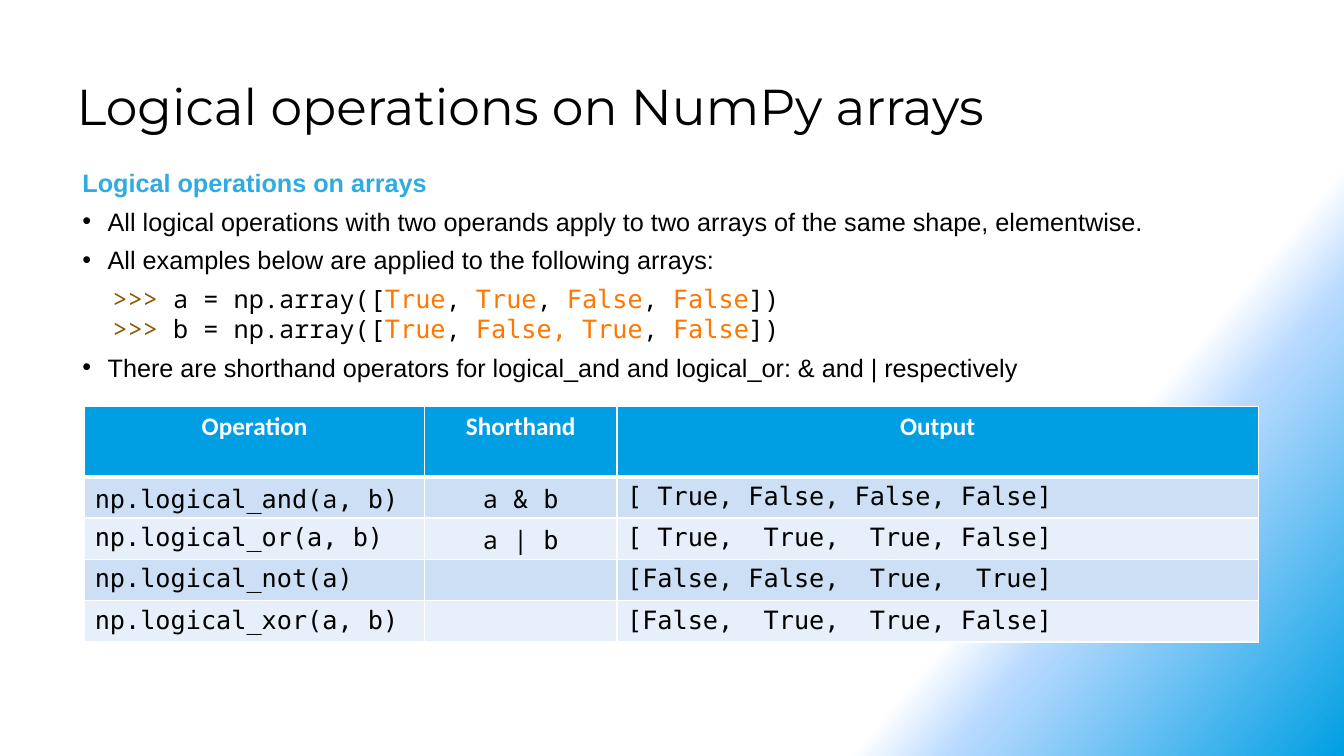
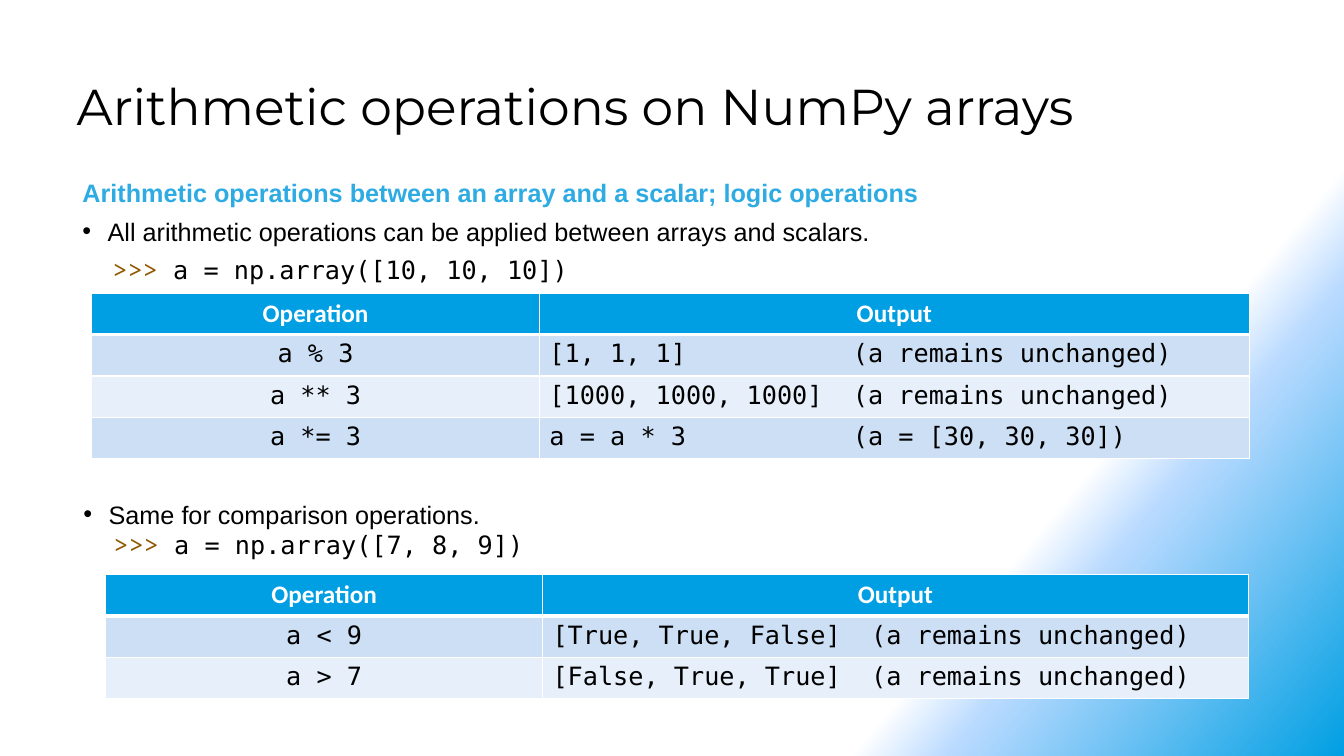
from lxml import etree
from pptx import Presentation
from pptx.dml.color import RGBColor
from pptx.enum.text import MSO_ANCHOR, PP_ALIGN
from pptx.oxml.ns import qn
from pptx.util import Inches, Pt

LEFT, CENTER = PP_ALIGN.LEFT, PP_ALIGN.CENTER
MIDDLE = MSO_ANCHOR.MIDDLE
WHITE, BLACK, BLUE = "FFFFFF", "000000", "009FE3"
BANDS = ("CCDFF4", "E7F0FA")
GRADIENT = ((75, WHITE, 100), (80, "B9DAFF", 50), (100, BLUE, 100))
LINE_HEIGHT = Pt(21.6)
ROW_HEIGHT = 0.41

FORMATS = {
    "title": {"name": "Montserrat", "size": Pt(36), "bold": False, "color": BLACK},
    "heading": {"name": "Arial", "size": Pt(18), "bold": True, "color": "2EABE2"},
    "body": {"name": "Arial", "size": Pt(18), "bold": False, "color": BLACK},
    "header": {"name": "Calibri", "size": Pt(18), "bold": True, "color": WHITE},
    "prompt": {"name": "Noto Sans Mono", "size": Pt(18), "color": "8F5902"},
    "input": {"name": "Noto Sans Mono", "size": Pt(18), "bold": False, "color": BLACK},
    "code": {"name": "DejaVu Sans Mono", "size": Pt(18), "bold": False, "color": BLACK},
    "keyword": {"name": "DejaVu Sans Mono", "size": Pt(18), "color": "FF7700"},
}


def rgb(value):
    """Turn a hex string into a colour."""
    return RGBColor.from_string(value)


def add_child(parent, tag, **attributes):
    """Append an XML element with the given attributes."""
    element = etree.SubElement(parent, qn(tag))
    for name, value in attributes.items():
        element.set(name, str(value))
    return element


def format_font(font, style):
    """Apply a named text format to a font."""
    for name, value in FORMATS[style].items():
        if name == "color":
            font.color.rgb = rgb(value)
        else:
            setattr(font, name, value)


def add_runs(paragraph, runs):
    """Add (text, style) runs to a paragraph."""
    for text, style in runs:
        run = paragraph.add_run()
        run.text = text
        format_font(run.font, style)


def set_background(master):
    """Give every slide the diagonal blue gradient."""
    fill = master.background.fill
    fill.gradient()
    fill.gradient_angle = 320
    stops = master.element.find(".//" + qn("a:gsLst"))
    for stop in list(stops):
        stops.remove(stop)
    for position, color, opacity in GRADIENT:
        stop = add_child(stops, "a:gs", pos=position * 1000)
        tint = add_child(stop, "a:srgbClr", val=color)
        if opacity < 100:
            add_child(tint, "a:alpha", val=opacity * 1000)


def add_titled_slide(presentation, text):
    """Add a slide with the shared title style."""
    slide = presentation.slides.add_slide(presentation.slide_layouts[5])
    title = slide.shapes.title
    title.left, title.top = Inches(0.66), Inches(0.67)
    title.width, title.height = Inches(12.03), Inches(0.83)
    title.text_frame.vertical_anchor = MIDDLE
    paragraph = title.text_frame.paragraphs[0]
    paragraph.alignment = LEFT
    paragraph.line_spacing = 0.9
    add_runs(paragraph, [(text, "title")])
    return slide


def add_text(slide, box, paragraphs):
    """Place a text box of (kind, runs, space after) paragraphs."""
    shape = slide.shapes.add_textbox(*map(Inches, box))
    frame = shape.text_frame
    frame.word_wrap = True
    for index, (kind, runs, space) in enumerate(paragraphs):
        paragraph = frame.add_paragraph() if index else frame.paragraphs[0]
        paragraph.line_spacing = LINE_HEIGHT
        paragraph.space_after = Pt(space)
        properties = paragraph._p.get_or_add_pPr()
        if kind == "bullet":
            properties.set("marL", str(Inches(0.25)))
            properties.set("indent", str(Inches(-0.25)))
            add_child(properties, "a:buFont", typeface="Arial")
            add_child(properties, "a:buChar", char="•")
        elif kind == "code":
            properties.set("marL", str(Inches(0.3)))
            properties.set("indent", "0")
            runs = [(">>> ", "prompt")] + runs
        add_runs(paragraph, runs)


def format_cell(cell, row):
    """Draw the white borders and the band fill of a cell."""
    properties = cell._tc.get_or_add_tcPr()
    widths = {"L": 1, "R": 1, "T": 3 if row == 1 else 1, "B": 1 if row else 3}
    for side, width in widths.items():
        line = add_child(properties, "a:ln" + side, w=Pt(width))
        add_child(add_child(line, "a:solidFill"), "a:srgbClr", val=WHITE)
    cell.fill.solid()
    cell.fill.fore_color.rgb = rgb(BANDS[(row - 1) % 2] if row else BLUE)


def add_operations(slide, origin, widths, rows, alignments, header_height=ROW_HEIGHT, tab=None):
    """Place a banded table of operations and their outputs."""
    heights = [header_height] + [ROW_HEIGHT] * (len(rows) - 1)
    size = (sum(widths), sum(heights))
    frame = slide.shapes.add_table(len(rows), len(widths), *map(Inches, origin + size))
    table = frame.table
    table.horz_banding = False
    for column, width in zip(table.columns, widths):
        column.width = Inches(width)
    for index, (row, height) in enumerate(zip(rows, heights)):
        table.rows[index].height = Inches(height)
        for position, content in enumerate(row):
            cell = table.cell(index, position)
            format_cell(cell, index)
            paragraph = cell.text_frame.paragraphs[0]
            paragraph.alignment = alignments[position] if index else CENTER
            if isinstance(content, str):
                content = [(content, "code" if index else "header")] if content else []
            if tab and any("\t" in text for text, _ in content):
                stops = add_child(paragraph._p.get_or_add_pPr(), "a:tabLst")
                add_child(stops, "a:tab", pos=Inches(tab), algn="l")
            add_runs(paragraph, content)
            if not content:
                format_font(paragraph.font, "code")


def array_runs(name, values):
    """Build the runs that assign an array of coloured values."""
    runs = [(f"{name} = np.array([", "input")]
    for index, value in enumerate(values):
        if index:
            runs.append((", ", "input"))
        runs.append((value, "keyword"))
    return runs + [("])", "input")]


def add_logical_slide(presentation):
    """Build the slide on logical operations."""
    slide = add_titled_slide(presentation, "Logical operations on NumPy arrays")
    add_text(slide, (0.72, 1.61, 11.66, 2.51), [
        ("heading", [("Logical operations on arrays", "heading")], 6),
        ("bullet", [("All logical operations with two operands apply to two arrays "
                     "of the same shape, elementwise.", "body")], 6),
        ("bullet", [("All examples below are applied to the following arrays:", "body")], 6),
        ("code", array_runs("a", ["True", "True", "False", "False"]), 0),
        ("code", array_runs("b", ["True", "False, True", "False"]), 6),
        ("bullet", [("There are shorthand operators for logical_and and logical_or: "
                     "& and | respectively", "body")], 6),
    ])
    rows = [
        ("Operation", "Shorthand", "Output"),
        ([("np.logical_and(", "code"), ("a", "input"), (", b)", "code")],
         [("a &", "input"), (" b", "code")], "[ True, False, False, False]"),
        ("np.logical_or(a, b)", [("a |", "input"), (" b", "code")],
         "[ True,  True,  True, False]"),
        ("np.logical_not(a)", "", "[False, False,  True,  True]"),
        ("np.logical_xor(a, b)", "", "[False,  True,  True, False]"),
    ]
    add_operations(slide, (0.84, 4.03), (3.37, 1.91, 6.36), rows,
                   (LEFT, CENTER, LEFT), header_height=0.7)


def add_arithmetic_slide(presentation):
    """Build the slide on arithmetic and comparison operations."""
    slide = add_titled_slide(presentation, "Arithmetic operations on NumPy arrays")
    add_text(slide, (0.72, 1.71, 12.33, 1.25), [
        ("heading", [("Arithmetic operations between an array and a scalar; "
                      "logic operations", "heading")], 6),
        ("bullet", [("All arithmetic operations can be applied between arrays "
                     "and scalars.", "body")], 6),
        ("code", [("a = np.array([10, 10, 10])", "code")], 6),
    ])
    add_text(slide, (0.73, 4.9, 12.33, 0.73), [
        ("bullet", [("Same for comparison operations.", "body")], 0),
        ("code", [("a = np.array([7, 8, 9])", "code")], 6),
    ])
    header = ("Operation", "Output")
    arithmetic = [
        header,
        ("a % 3", "[1, 1, 1]\t(a remains unchanged)"),
        ("a ** 3", "[1000, 1000, 1000]\t(a remains unchanged)"),
        ("a *= 3", "a = a * 3\t(a = [30, 30, 30])"),
    ]
    comparison = [
        header,
        ("a < 9", "[True, True, False]\t(a remains unchanged)"),
        ("a > 7", "[False, True, True]\t(a remains unchanged)"),
    ]
    add_operations(slide, (0.91, 2.91), (4.44, 7.04), arithmetic, (CENTER, LEFT), tab=3.01)
    add_operations(slide, (1.05, 5.7), (4.33, 7), comparison, (CENTER, LEFT), tab=3.16)


def main():
    """Build and save the presentation."""
    presentation = Presentation()
    presentation.slide_width, presentation.slide_height = Inches(13.33), Inches(7.5)
    set_background(presentation.slide_master)
    add_logical_slide(presentation)
    add_arithmetic_slide(presentation)
    presentation.save("out.pptx")


if __name__ == "__main__":
    main()
